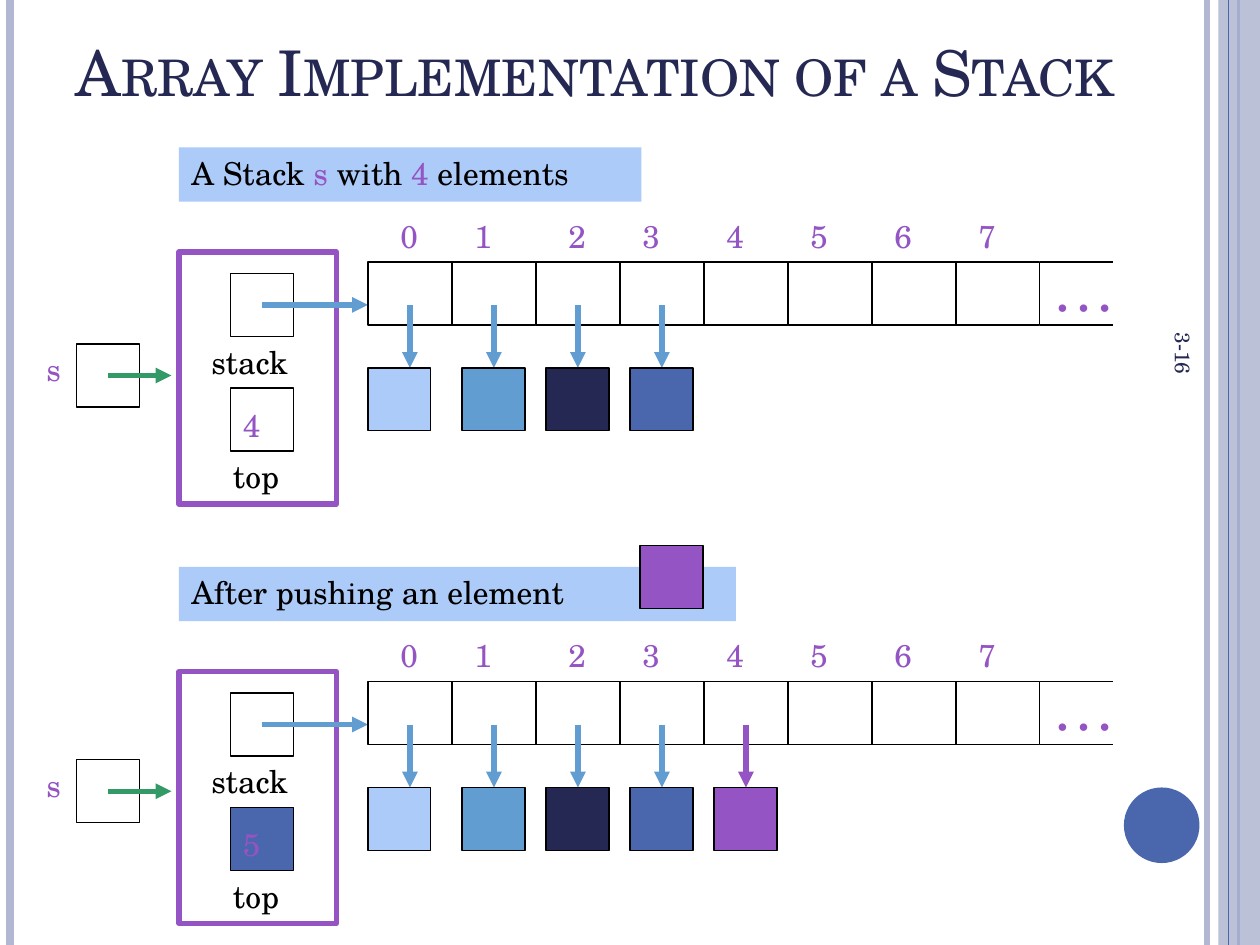
from lxml import etree
from pptx import Presentation
from pptx.dml.color import RGBColor
from pptx.enum.dml import MSO_FILL
from pptx.enum.shapes import MSO_CONNECTOR, MSO_SHAPE
from pptx.enum.text import MSO_ANCHOR, MSO_AUTO_SIZE, PP_ALIGN
from pptx.oxml.ns import qn
from pptx.util import Inches, Pt

RECTANGLE, OVAL = MSO_SHAPE.RECTANGLE, MSO_SHAPE.OVAL
STRAIGHT = MSO_CONNECTOR.STRAIGHT
SOLID = MSO_FILL.SOLID
TOP, MIDDLE, BOTTOM = MSO_ANCHOR.TOP, MSO_ANCHOR.MIDDLE, MSO_ANCHOR.BOTTOM
GROW, FIXED = MSO_AUTO_SIZE.SHAPE_TO_FIT_TEXT, MSO_AUTO_SIZE.NONE
LEFT = PP_ALIGN.LEFT
FONT = "TeX Gyre Schola"
BLACK, NAVY, BLUE, SKY, PALE = "000000", "242852", "4A66AC", "629DD1", "ACCBF9"
PURPLE, GREEN, GREY = "9454C3", "339966", "B2B8D2"
BLOCK_COLOURS = [PALE, SKY, NAVY, BLUE, PURPLE]
CELL_COUNT, CELL_WIDTH, CELL_HEIGHT = 8, 2 / 3, 0.5
ARRAY_LEFT, BLOCK = 2.92, 0.5


def set_values(target, values):
    for name, value in values.items():
        setattr(target, name, value)


def paint(target, colour, opacity=100):
    if target.type != SOLID:
        target.solid()
    target.fore_color.rgb = RGBColor.from_string(colour)
    if opacity < 100:
        for node in target._xPr.iter(qn("a:srgbClr")):
            etree.SubElement(node, qn("a:alpha"), val=str(opacity * 1000))


def write(shape, spans, size=18, font=FONT, anchor=TOP, fit=GROW):
    frame = shape.text_frame
    set_values(frame, {"word_wrap": True, "vertical_anchor": anchor, "auto_size": fit})
    para = frame.paragraphs[0]
    para.alignment = LEFT
    for text, colour in spans:
        span = para.add_run()
        span.text = text
        set_values(span.font, {"size": Pt(size), "name": font})
        paint(span.font.fill, colour)
    return para


def add_text(page, place, text, colour, **style):
    box = page.shapes.add_textbox(*map(Inches, place))
    write(box, [(text, colour)], **style)
    return box


def add_box(page, place, fill=None, line=BLACK, width=0.75, kind=RECTANGLE, opacity=100):
    box = page.shapes.add_shape(kind, *map(Inches, place))
    box.shadow.inherit = False
    if fill:
        paint(box.fill, fill, opacity)
    else:
        box.fill.background()
    if line:
        paint(box.line.fill, line)
        box.line.width = Pt(width)
    else:
        box.line.fill.background()
    return box


def add_line(page, start, end, colour, width, arrow=False):
    line = page.shapes.add_connector(STRAIGHT, *map(Inches, (*start, *end)))
    paint(line.line.fill, colour)
    line.line.width = Pt(width)
    if arrow:
        etree.SubElement(line.line._get_or_add_ln(), qn("a:tailEnd"), type="triangle")
    etree.SubElement(line._element.spPr, qn("a:effectLst"))


def add_frame(page):
    for left, colour, width in [(9.58, GREY, 3), (0.08, GREY, 4.5), (9.83, BLUE, 1.5)]:
        add_line(page, (left, 0), (left, 7.5), colour, width)
    add_box(page, (9.67, 0, 0.33, 7.5), GREY, None, opacity=87)
    add_line(page, (9.75, 0), (9.75, 7.5), BLUE, 0.75)
    add_box(page, (8.92, 6.25, 0.6, 0.6), BLUE, None, kind=OVAL)
    number = add_text(page, (7.64, 4.09, 3.5, 0.4), "3-16", NAVY,
                      size=12, anchor=MIDDLE, fit=FIXED)
    number.rotation = 90


def add_title(page, text):
    title = page.shapes.title
    place = map(Inches, (0.5, -0.33, 8.83, 1.25))
    set_values(title, dict(zip(("left", "top", "width", "height"), place)))
    para = write(title, [(text, NAVY)], size=36, anchor=BOTTOM, fit=FIXED)
    para.runs[0].font._element.set("cap", "small")


def add_caption(page, top, width, spans):
    write(add_box(page, (1.42, top, width, 0.43), PALE, None), spans)


def add_stack_object(page, top, count, count_fill):
    add_box(page, (1.83, top + 1.08, BLOCK, BLOCK), count_fill)
    add_text(page, (1.75, top + 1.58, 0.75, 0.43), "top", BLACK)
    add_text(page, (1.83, top + 1.17, 0.39, 0.43), count, PURPLE)
    add_text(page, (1.58, top + 0.67, 1, 0.43), "stack", BLACK)
    add_box(page, (1.83, top + 0.17, BLOCK, BLOCK))
    add_box(page, (1.42, top, 1.25, 2), line=PURPLE, width=3)
    add_line(page, (2.08, top + 0.42), (ARRAY_LEFT, top + 0.42), SKY, 3, True)


def add_array(page, top):
    for index in range(CELL_COUNT):
        left = ARRAY_LEFT + index * CELL_WIDTH
        add_box(page, (left, top, CELL_WIDTH, CELL_HEIGHT))
        nudge = 0.16 if index in (0, 2) else 0.08
        add_text(page, (left + nudge, top - 0.41, 0.42, 0.43), str(index), PURPLE)
    end = ARRAY_LEFT + CELL_COUNT * CELL_WIDTH
    for edge in (top, top + CELL_HEIGHT):
        add_line(page, (end, edge), (8.83, edge), BLACK, 0.75)
    add_text(page, (end, top - 0.16, 0.67, 0.7), "…", PURPLE,
             size=36, font="Times New Roman")


def add_elements(page, top, count):
    for index, colour in enumerate(BLOCK_COLOURS[:count]):
        left = ARRAY_LEFT + index * CELL_WIDTH
        middle = left + CELL_WIDTH / 2
        arrow_colour = PURPLE if colour == PURPLE else SKY
        add_line(page, (middle, top - 0.5), (middle, top), arrow_colour, 3, True)
        block_left = left + 0.08 if index else left
        add_box(page, (block_left, top, BLOCK, BLOCK), colour)


def add_reference(page, top):
    add_text(page, (0.27, top, 0.5, 0.43), "s", PURPLE)
    add_box(page, (0.61, top, BLOCK, BLOCK))
    add_line(page, (0.86, top + 0.25), (1.36, top + 0.25), GREEN, 3, True)


def add_state(page, top, count, count_fill, reference_top):
    add_stack_object(page, top, str(count), count_fill)
    add_array(page, top + 0.08)
    add_elements(page, top + 0.92, count)
    add_reference(page, reference_top)


def main():
    deck = Presentation()
    set_values(deck, {"slide_width": Inches(10), "slide_height": Inches(7.5)})
    page = deck.slides.add_slide(deck.slide_layouts[5])
    add_frame(page)
    add_title(page, "Array Implementation of a Stack")
    add_state(page, 2, 4, None, 2.73)
    add_state(page, 5.33, 5, BLUE, 6.03)
    add_caption(page, 1.17, 3.67, [("A Stack ", BLACK), ("s", PURPLE), (" with ", BLACK),
                                   ("4", PURPLE), (" elements", BLACK)])
    add_caption(page, 4.5, 4.42, [("After pushing an element", BLACK)])
    add_box(page, (5.08, 4.33, BLOCK, BLOCK), PURPLE)
    deck.save("out.pptx")


main()
